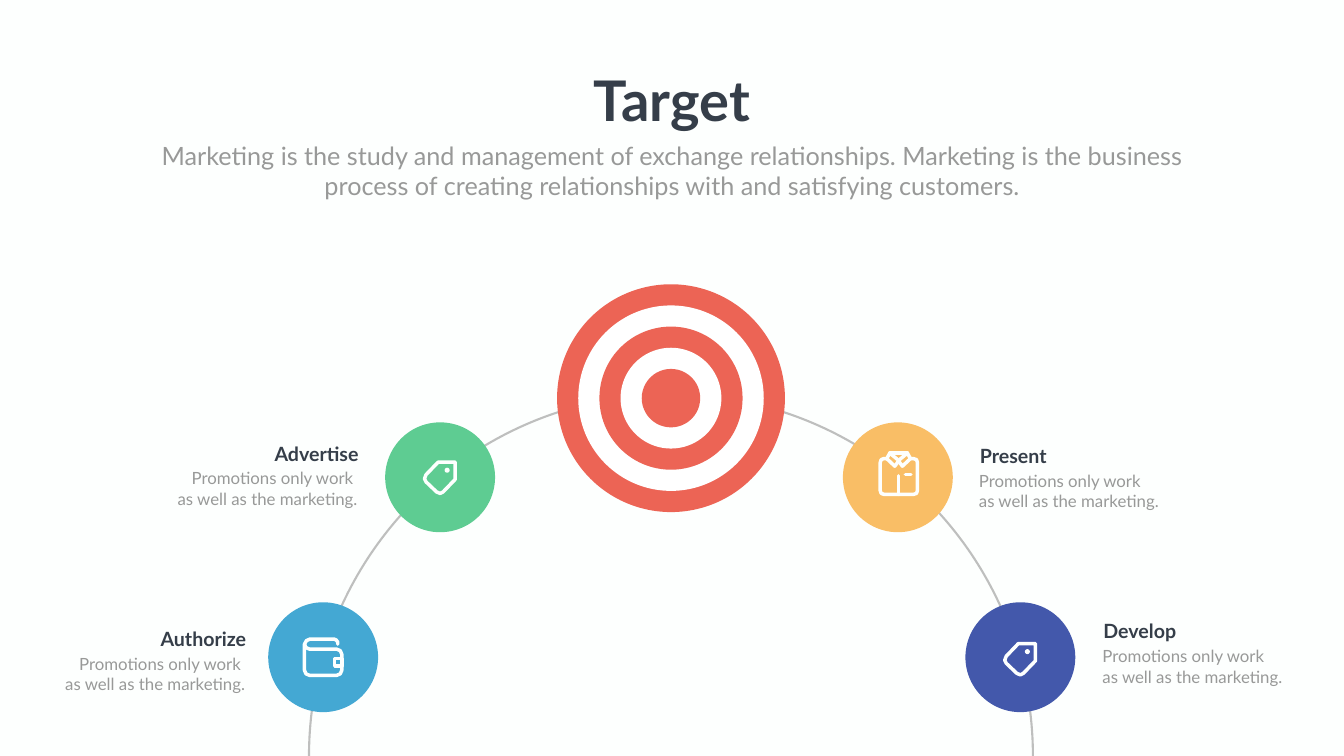
from math import cos, radians, sin

from lxml import etree
from pptx import Presentation
from pptx.dml.color import RGBColor
from pptx.enum.shapes import MSO_CONNECTOR, MSO_SHAPE
from pptx.enum.text import MSO_ANCHOR, MSO_AUTO_SIZE, PP_ALIGN
from pptx.oxml.ns import qn
from pptx.util import Emu, Pt

OVAL, STRAIGHT = MSO_SHAPE.OVAL, MSO_CONNECTOR.STRAIGHT
LEFT, CENTER, RIGHT = PP_ALIGN.LEFT, PP_ALIGN.CENTER, PP_ALIGN.RIGHT
PX = 9144  # 100 px to the inch
WIDTH, HEIGHT = 2666, 1500
FONT = "Lato"
COLORS = {
    "paper": "FDFFFE", "white": "FFFFFF", "dark": "353E49", "gray": "989998",
    "arc": "808080", "red": "EC6455", "yellow": "F9BE66", "green": "5ECC92",
    "indigo": "4358AB", "blue": "44A8D3",
}

TITLE = "Target"
SUBTITLE = ("Marketing is the study and management of exchange relationships. "
            "Marketing is the business process of creating relationships with "
            "and satisfying customers.")
RIGHT_LINES = ["Promotions only work", "as well as the marketing."]
LEFT_LINES = ["Promotions only work ", "as well as the marketing."]

ARC_CENTER, ARC_RADIUS = (1331, 1500), 718
TARGET_CENTER, RING_RADII = (1331, 790), range(226, 57, -42)
NODE_RADIUS = 109

# heading, lines, color, circle center, icon, icon drop, heading edge, heading top, alignment
NODES = [
    ("Present", RIGHT_LINES, "yellow", (1781, 947), "shirt", 0, 1934, 876, LEFT),
    ("Advertise", LEFT_LINES, "green", (873, 947), "tag", -3, 721, 871, RIGHT),
    ("Develop", RIGHT_LINES, "indigo", (2024, 1304), "tag", 0, 2179, 1224, LEFT),
    ("Authorize", LEFT_LINES, "blue", (641, 1304), "wallet", 0, 498, 1239, RIGHT),
]

# Strokes are (closed, points), dots are (x, y, radius), all from the circle center
COLLAR = [(-16, -48), (-22, -37), (-6, -22), (2, -33)]
ICONS = {
    "tag": {
        "strokes": [(True, [(-4, -27), (30, -27), (30, 7), (6, 32), (0, 35), (-7, 32),
                            (-28, 12), (-31, 6), (-28, -2)])],
        "dots": [(14, -11, 5)],
    },
    "wallet": {
        "strokes": [
            (False, [(29, -26), (29, -30), (26, -34), (22, -36), (-26, -36), (-33, -33),
                     (-37, -26), (-37, 26), (-34, 33), (-27, 36), (27, 36), (34, 33),
                     (37, 26), (37, -6), (34, -13), (27, -16), (-27, -16), (-34, -19),
                     (-37, -26)]),
            (True, [(23, 3), (37, 3), (37, 17), (23, 17)]),
        ],
        "dots": [],
    },
    "shirt": {
        "strokes": [
            (False, [(-22, -37), (-28, -37), (-33, -35), (-35, -29), (-35, 26), (-33, 32),
                     (-27, 34), (31, 34), (37, 32), (39, 26), (39, -29), (37, -35),
                     (31, -37), (25, -37)]),
            (True, COLLAR),
            (True, [(3 - x, y) for x, y in COLLAR]),
            (False, [(-16, -48), (19, -48)]),
            (False, [(15, -5), (26, -5)]),
            (False, [(1, -3), (1, 34)]),
        ],
        "dots": [],
    },
}


def rgb(name):
    return RGBColor.from_string(COLORS[name])


def px(value):
    return Emu(round(value * PX))


def add_circle(shapes, center, radius, color):
    x, y = center
    circle = shapes.add_shape(OVAL, px(x - radius), px(y - radius),
                              px(2 * radius), px(2 * radius))
    circle.shadow.inherit = False
    circle.fill.solid()
    circle.fill.fore_color.rgb = rgb(color)
    circle.line.fill.background()


def add_stroke(shapes, points, closed, color, width):
    """Draw an unfilled line with round ends and corners."""
    points = [(px(x), px(y)) for x, y in points]
    if len(points) == 2:
        stroke = shapes.add_connector(STRAIGHT, *points[0], *points[1])
        etree.SubElement(stroke._element.spPr, qn("a:effectLst"))
    else:
        builder = shapes.build_freeform(*points[0])
        builder.add_line_segments(points[1:], close=closed)
        stroke = builder.convert_to_shape()
        stroke.shadow.inherit = False
        stroke.fill.background()
    stroke.line.color.rgb = rgb(color)
    stroke.line.width = Pt(width)
    line = stroke.line._get_or_add_ln()
    line.set("cap", "rnd")
    etree.SubElement(line, qn("a:round"))
    return stroke


def write(shape, lines, size, color, alignment, bold=False, wrap=True):
    frame = shape.text_frame
    frame.word_wrap = wrap
    frame.auto_size = MSO_AUTO_SIZE.NONE
    frame.vertical_anchor = MSO_ANCHOR.TOP
    frame.text = "\n".join(lines)
    for paragraph in frame.paragraphs:
        paragraph.alignment = alignment
        paragraph.font.name = FONT
        paragraph.font.size = Pt(size)
        paragraph.font.bold = bold
        paragraph.font.color.rgb = rgb(color)


def add_text(shapes, box, *style, **options):
    write(shapes.add_textbox(*map(px, box)), *style, **options)


def add_icon(shapes, icon, center):
    x, y = center
    for closed, points in icon["strokes"]:
        add_stroke(shapes, [(x + dx, y + dy) for dx, dy in points], closed, "paper", 5)
    for dx, dy, radius in icon["dots"]:
        add_circle(shapes, (x + dx, y + dy), radius, "paper")


def add_caption(shapes, heading, lines, edge, top, alignment):
    """Place a heading and its lines against a shared vertical edge."""
    heading_width, lines_width = 229, 407
    shift = 1 if alignment == RIGHT else 0
    add_text(shapes, (edge - shift * heading_width, top, heading_width, 57),
             [heading], 28, "dark", alignment, bold=True)
    add_text(shapes, (edge - 2 - shift * lines_width, top + 53, lines_width, 91),
             lines, 24, "gray", alignment)


def main():
    presentation = Presentation()
    presentation.slide_width, presentation.slide_height = px(WIDTH), px(HEIGHT)
    slide = presentation.slides.add_slide(presentation.slide_layouts[5])
    slide.background.fill.solid()
    slide.background.fill.fore_color.rgb = rgb("paper")
    shapes = slide.shapes

    title = shapes.title
    title.left, title.top, title.width, title.height = map(px, (1158, 124, 350, 145))
    write(title, [TITLE], 80, "dark", CENTER, bold=True, wrap=False)
    add_text(shapes, (292, 273, 2082, 131), [SUBTITLE], 36, "gray", CENTER)

    x, y = ARC_CENTER
    arc_points = [(x - ARC_RADIUS * cos(radians(angle)), y - ARC_RADIUS * sin(radians(angle)))
                  for angle in range(181)]
    arc = add_stroke(shapes, arc_points, False, "arc", 3)
    arc_color = arc.line._get_or_add_ln().find(".//" + qn("a:srgbClr"))
    etree.SubElement(arc_color, qn("a:alpha"), val="50000")

    for index, radius in enumerate(RING_RADII):
        add_circle(shapes, TARGET_CENTER, radius, "white" if index % 2 else "red")

    for heading, lines, color, center, icon, drop, edge, top, alignment in NODES:
        add_circle(shapes, center, NODE_RADIUS, color)
        add_icon(shapes, ICONS[icon], (center[0], center[1] + drop))
        add_caption(shapes, heading, lines, edge, top, alignment)

    presentation.save("out.pptx")


if __name__ == "__main__":
    main()
